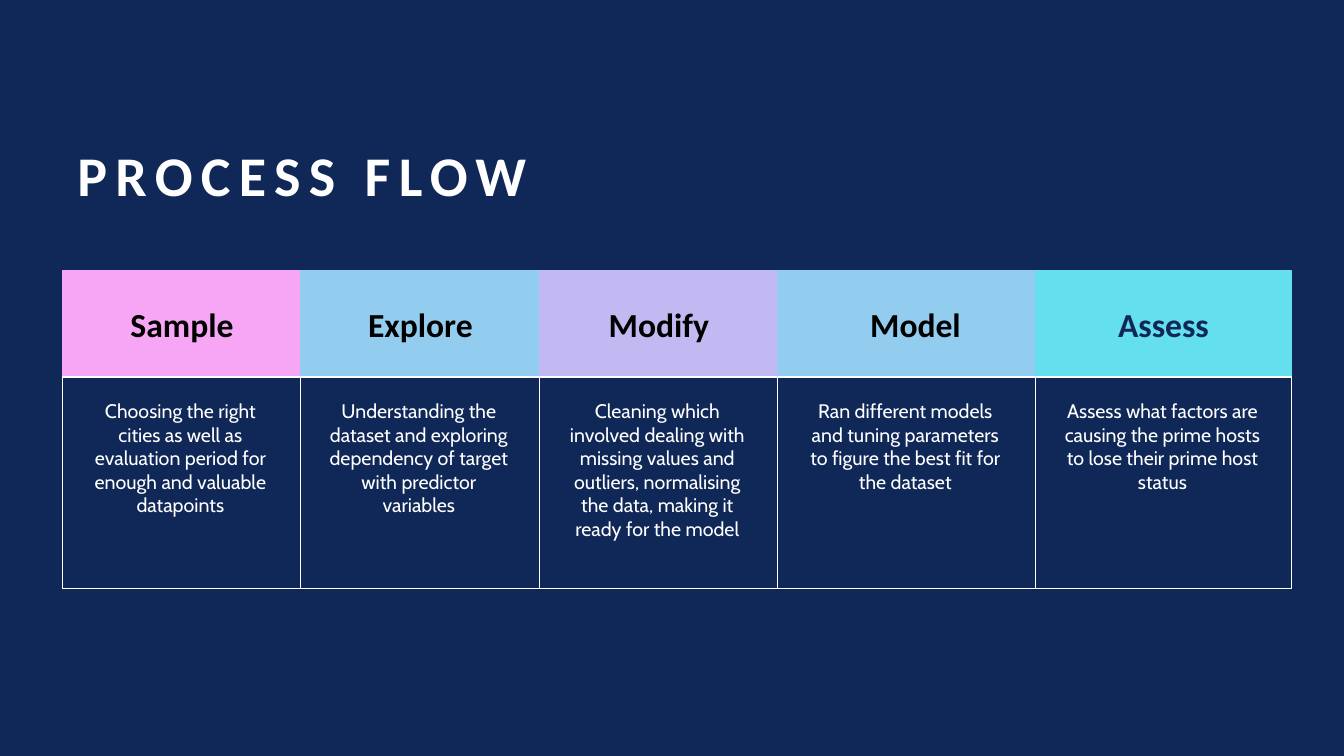
from collections import namedtuple

from pptx import Presentation
from pptx.dml.color import RGBColor
from pptx.enum.shapes import MSO_SHAPE
from pptx.enum.text import MSO_ANCHOR, PP_ALIGN
from pptx.util import Inches, Pt

RECTANGLE = MSO_SHAPE.RECTANGLE
TOP, MIDDLE, BOTTOM = MSO_ANCHOR.TOP, MSO_ANCHOR.MIDDLE, MSO_ANCHOR.BOTTOM
CENTER = PP_ALIGN.CENTER

Box = namedtuple("Box", "left top width height")
Stage = namedtuple("Stage", "name detail fill ink width overlap")

COLORS = {
    "navy": "102857",
    "white": "FFFFFF",
    "black": "000000",
    "pink": "F6A6F4",
    "blue": "92CDF0",
    "lilac": "C3B9F2",
    "aqua": "64DFED",
}
HEADING_FONT, DETAIL_FONT = "Calibri", "Cabin"
SLIDE_WIDTH, SLIDE_HEIGHT = 13.33, 7.5
TITLE_BOX = Box(-1.86, 0.95, 9.71, 1.17)
FLOW_BOX = Box(0.62, 2.69, 12.19, 3.15)
HEADING_SHARE = 1 / 3
DETAIL_INSETS = (0.28, 0.22, 0.3, 0.05)
HEADING_INSETS = (0.1, 0.05, 0.1, 0.05)

STAGES = [
    Stage("Sample",
          "Choosing the right cities as well as evaluation period for enough and valuable datapoints",
          "pink", "black", 2.36, 0.01),
    Stage("Explore",
          "Understanding the dataset and exploring dependency of target with predictor variables",
          "blue", "black", 2.37, 0.01),
    Stage("Modify",
          "Cleaning which involved dealing with missing values and outliers, normalising the data, making it ready for the model",
          "lilac", "black", 2.36, 0.01),
    Stage("Model",
          "Ran different models and tuning parameters to figure the best fit for the dataset",
          "blue", "black", 2.56, 0.18),
    Stage("Assess",
          "Assess what factors are causing the prime hosts to lose their prime host status",
          "aqua", "navy", 2.54, 0),
]


def color(name):
    return RGBColor.from_string(COLORS[name])


def write(frame, text, font, size, ink, bold, anchor, insets):
    frame.word_wrap = True
    frame.vertical_anchor = anchor
    (frame.margin_left, frame.margin_top,
     frame.margin_right, frame.margin_bottom) = map(Inches, insets)
    paragraph = frame.paragraphs[0]
    paragraph.alignment = CENTER
    run = paragraph.add_run()
    run.text = text
    run.font.name = font
    run.font.size = Pt(size)
    run.font.bold = bold
    run.font.color.rgb = color(ink)
    return paragraph, run


def add_cell(slide, box, line, fill=None):
    cell = slide.shapes.add_shape(RECTANGLE, *map(Inches, box))
    cell.shadow.inherit = False
    if fill:
        cell.fill.solid()
        cell.fill.fore_color.rgb = color(fill)
    else:
        cell.fill.background()
    cell.line.color.rgb = color(line)
    cell.line.width = Pt(1)
    return cell.text_frame


def place_title(slide, box):
    title = slide.shapes.title
    title.left, title.top, title.width, title.height = map(Inches, box)
    paragraph, run = write(title.text_frame, "PROCESS FLOW", HEADING_FONT, 40,
                           "white", True, BOTTOM, HEADING_INSETS)
    paragraph.line_spacing = 0.9
    run._r.get_or_add_rPr().set("spc", "600")


def add_stage(slide, box, stage):
    heading_height = box.height * HEADING_SHARE
    heading = add_cell(
        slide,
        Box(box.left, box.top, box.width + stage.overlap, heading_height),
        stage.fill, stage.fill)
    write(heading, stage.name, HEADING_FONT, 24, stage.ink, True,
          MIDDLE, HEADING_INSETS)
    detail = add_cell(
        slide,
        Box(box.left, box.top + heading_height, box.width,
            box.height - heading_height),
        "white")
    write(detail, stage.detail, DETAIL_FONT, 14, "white", False,
          TOP, DETAIL_INSETS)


def add_process_flow(slide, box):
    total = sum(stage.width for stage in STAGES)
    left = box.left
    for stage in STAGES:
        width = box.width * stage.width / total
        add_stage(slide, Box(left, box.top, width, box.height), stage)
        left += width


def main():
    deck = Presentation()
    deck.slide_width, deck.slide_height = Inches(SLIDE_WIDTH), Inches(SLIDE_HEIGHT)
    slide = deck.slides.add_slide(deck.slide_layouts.get_by_name("Title Only"))
    slide.background.fill.solid()
    slide.background.fill.fore_color.rgb = color("navy")
    place_title(slide, TITLE_BOX)
    add_process_flow(slide, FLOW_BOX)
    deck.save("out.pptx")


if __name__ == "__main__":
    main()
